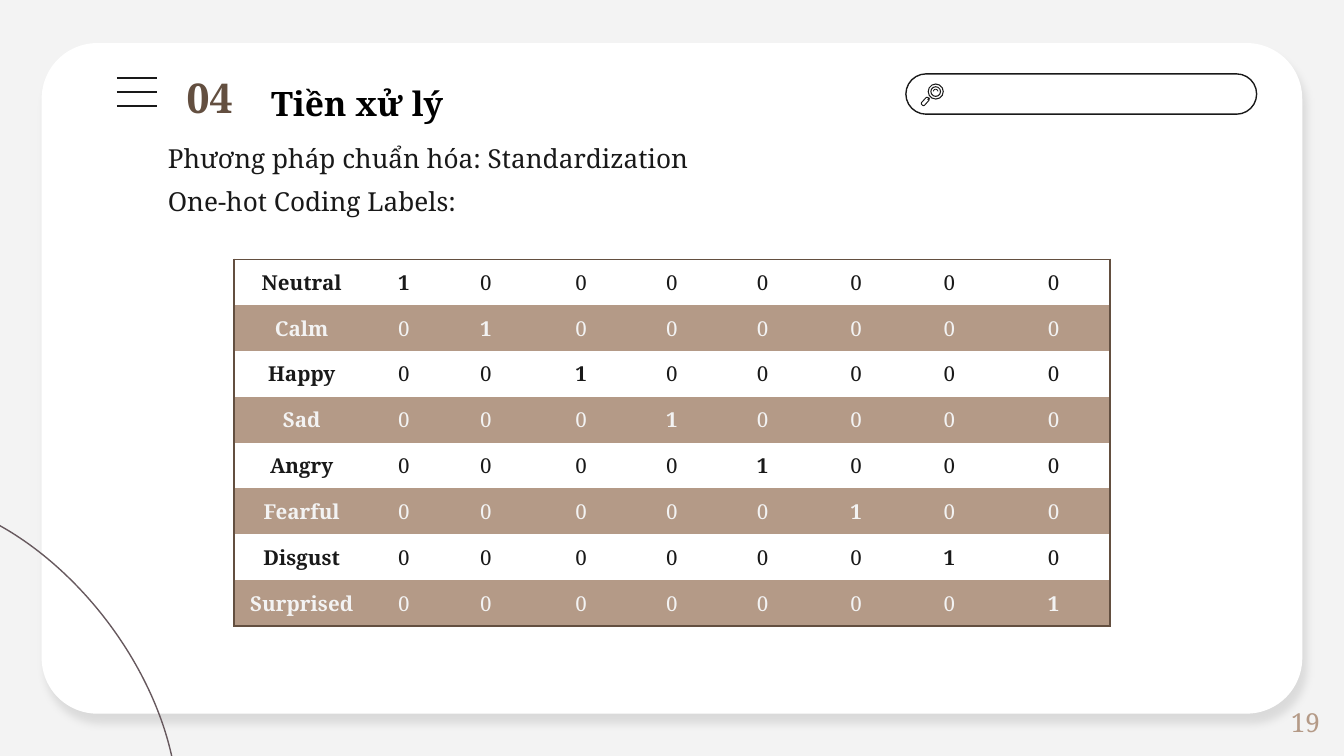
from lxml import etree
from pptx import Presentation
from pptx import util as u
from pptx.dml.color import RGBColor
from pptx.enum import shapes, text
from pptx.oxml import ns

FONT = "Noto Serif"
PALE = RGBColor(0xF3, 0xF3, 0xF3)
WHITE = RGBColor(0xFF, 0xFF, 0xFF)
BLACK = RGBColor(0, 0, 0)
INK = RGBColor(0x19, 0x19, 0x19)
BROWN = RGBColor(0x63, 0x4F, 0x40)
TAN = RGBColor(0xB4, 0x9A, 0x87)
MAUVE = RGBColor(0x67, 0x59, 0x5E)
KIND = shapes.MSO_SHAPE
ALIGN = text.PP_ALIGN

LABELS = ["Neutral", "Calm", "Happy", "Sad", "Angry", "Fearful", "Disgust", "Surprised"]
WIDTHS = [1.01, 0.51, 0.71, 0.71, 0.64, 0.71, 0.68, 0.71, 0.84]


def inches(*nums):
    return [u.Inches(n) for n in nums]


def add_node(parent, tag, **attrs):
    return etree.SubElement(parent, ns.qn(tag), attrs)


def add_form(slide, kind, box, fill=None, line=None, width=0.75):
    form = slide.shapes.add_shape(kind, *inches(*box))
    form.shadow.inherit = False
    if fill is None:
        form.fill.background()
    else:
        form.fill.solid()
        form.fill.fore_color.rgb = fill
    if line is None:
        form.line.fill.background()
    else:
        form.line.color.rgb = line
        form.line.width = u.Pt(width)
    return form


def set_font(para, size, color, bold=False):
    font = para.font
    font.name, font.size, font.bold = FONT, u.Pt(size), bold
    font.color.rgb = color


def add_text(slide, box, lines, size, color, bold=False, pad=0.05, align=None):
    frame = slide.shapes.add_textbox(*inches(*box)).text_frame
    frame.word_wrap = True
    frame.margin_top = frame.margin_bottom = u.Inches(pad)
    frame.text = "\n".join(lines)
    for para in frame.paragraphs:
        para.alignment = align
        set_font(para, size, color, bold)
    return frame


def draw_card(slide, box):
    card = add_form(slide, KIND.ROUNDED_RECTANGLE, box, WHITE)
    card.adjustments[0] = 0.083
    effects = card._element.spPr.find(ns.qn("a:effectLst"))
    shade = add_node(effects, "a:outerShdw", blurRad=str(u.Pt(4.5)),
                     dist=str(u.Pt(6)), dir=str(68 * 60000), rotWithShape="0")
    tint = add_node(shade, "a:srgbClr", val=str(BLACK))
    add_node(tint, "a:alpha", val="10000")


def draw_curve(slide, box):
    add_form(slide, KIND.OVAL, box, line=MAUVE).rotation = 53


def draw_menu(slide, box):
    left, top, width, height = box
    for i in range(3):
        y = top + i * height / 2
        bar = slide.shapes.add_connector(
            shapes.MSO_CONNECTOR.STRAIGHT, *inches(left, y, left + width, y))
        bar.line.color.rgb = INK
        bar.line.width = u.Pt(0.75)
        add_node(bar._element.spPr, "a:effectLst")


def draw_lens(slide, box):
    """Magnifying glass: two rings, a glint and a slanted handle."""
    left, top, size, _ = box
    x, y = left + size * 0.66, top + size * 0.36
    for r in (0.06, 0.04):
        ring = add_form(slide, KIND.DONUT, (x - r, y - r, 2 * r, 2 * r), INK)
        ring.adjustments[0] = 0.004 / r
    glint = add_form(slide, KIND.BLOCK_ARC, (x - 0.02, y - 0.02, 0.04, 0.04), INK)
    glint.adjustments[2] = 0.15
    grip = add_form(slide, KIND.ROUNDED_RECTANGLE,
                    (left, top + 0.12, 0.07, 0.03), line=INK, width=0.5)
    grip.adjustments[0] = 0.4
    neck = add_form(slide, KIND.RECTANGLE, (left + 0.05, top + 0.11, 0.02, 0.01), INK)
    grip.rotation = neck.rotation = -48


def draw_search(slide, box):
    left, top = box[:2]
    bar = add_form(slide, KIND.ROUNDED_RECTANGLE, box, line=INK)
    bar.adjustments[0] = 0.5
    draw_lens(slide, (left + 0.11, top + 0.07, 0.17, 0.17))


def draw_title(slide, box):
    left, top, width, height = box
    title = add_text(slide, (left + 0.63, top, width - 0.63, height),
                     ["Tiền xử lý"], 18, BLACK, True, 0.1, ALIGN.JUSTIFY)
    title.paragraphs[0].line_spacing = 1.2
    add_text(slide, (left, top + 0.03, 0.58, 0.47), ["04"], 22, BROWN, True)


def draw_body(slide, box):
    lines = ["Phương pháp chuẩn hóa: Standardization", "One-hot Coding Labels:"]
    frame = add_text(slide, box, lines, 14, INK, pad=0.1)
    frame.paragraphs[1].space_before = u.Pt(6)


def set_edges(cell, drawn):
    """Draw the sides named in drawn (of L, R, T, B) and clear the others."""
    props = cell._tc.get_or_add_tcPr()
    for i, side in enumerate("LRTB"):
        edge = etree.Element(ns.qn("a:ln" + side), w=str(u.Pt(1)))
        if side in drawn:
            add_node(add_node(edge, "a:solidFill"), "a:srgbClr", val=str(BROWN))
        else:
            add_node(edge, "a:noFill")
        props.insert(i, edge)


def draw_codes(slide, box):
    """One-hot table: row i has its 1 in column i + 1."""
    rows, cols = len(LABELS), len(WIDTHS)
    table = slide.shapes.add_table(rows, cols, *inches(*box)).table
    table.first_row = table.horz_banding = False
    for col, width in zip(table.columns, WIDTHS):
        col.width = u.Inches(width)
    for i, label in enumerate(LABELS):
        table.rows[i].height = u.Inches(box[3] / rows)
        for j in range(cols):
            cell = table.cell(i, j)
            hot = j == i + 1
            cell.text = label if j == 0 else str(int(hot))
            cell.vertical_anchor = text.MSO_ANCHOR.MIDDLE
            cell.margin_top = cell.margin_bottom = u.Inches(0.06)
            para = cell.text_frame.paragraphs[0]
            para.alignment = ALIGN.CENTER
            set_font(para, 11, PALE if i % 2 else INK, hot or j == 0)
            if i % 2:
                cell.fill.solid()
                cell.fill.fore_color.rgb = TAN
            else:
                cell.fill.background()
            sides = {"L": j == 0, "R": j == cols - 1, "T": i == 0, "B": i == rows - 1}
            set_edges(cell, [side for side, outer in sides.items() if outer])


def draw_number(slide, box):
    frame = add_text(slide, box, ["19"], 14, TAN, align=ALIGN.RIGHT)
    frame.vertical_anchor = text.MSO_ANCHOR.MIDDLE


def main():
    deck = Presentation()
    deck.slide_width = u.Inches(10)
    deck.slide_height = u.Inches(10 * 9 / 16)
    slide = deck.slides.add_slide(deck.slide_layouts[6])
    slide.background.fill.solid()
    slide.background.fill.fore_color.rgb = PALE
    draw_card(slide, (0.31, 0.32, 9.38, 4.99))
    draw_curve(slide, (-1.96, 4.17, 3.68, 2.31))
    draw_menu(slide, (0.87, 0.58, 0.3, 0.21))
    draw_search(slide, (6.74, 0.55, 2.61, 0.3))
    draw_number(slide, (7.67, 5.22, 2.25, 0.3))
    draw_title(slide, (1.29, 0.46, 7.9, 0.5))
    draw_body(slide, (1.15, 0.96, 7.45, 0.87))
    draw_codes(slide, (1.74, 1.93, 6.51, 2.73))
    deck.save("out.pptx")


if __name__ == "__main__":
    main()
